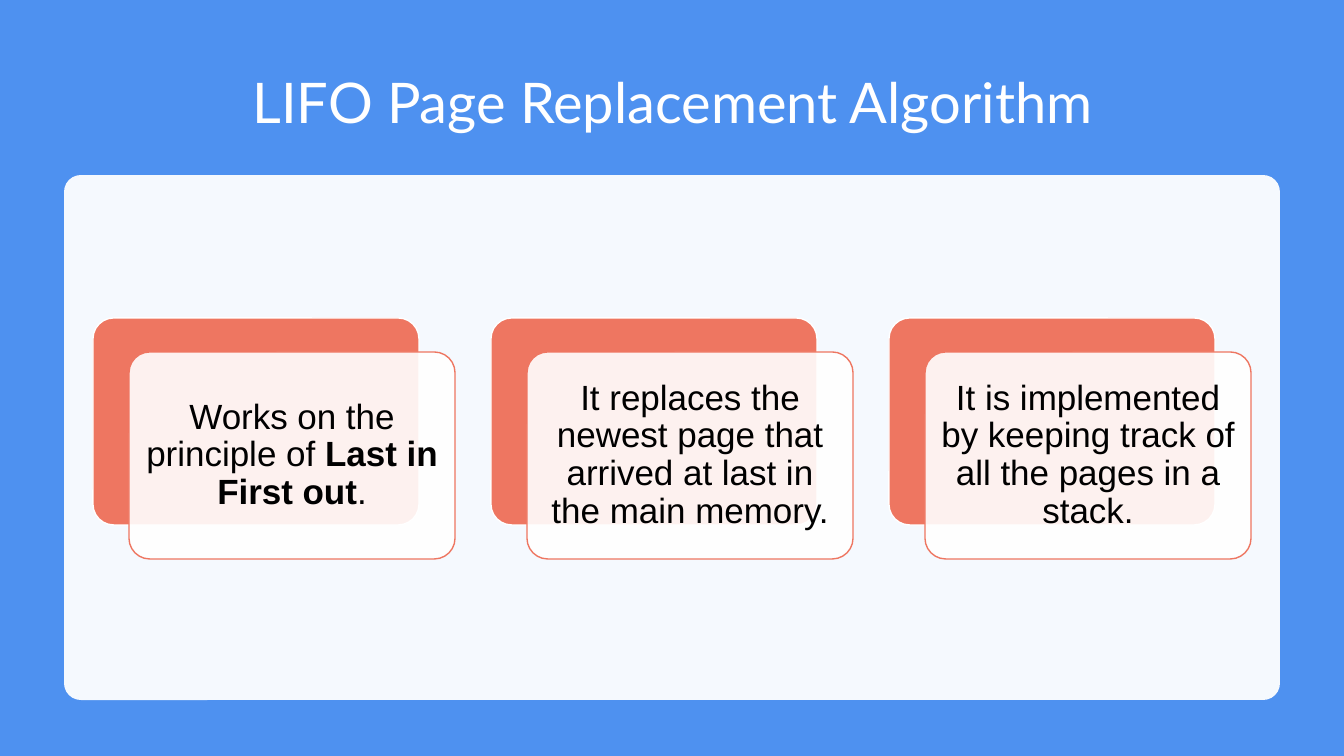
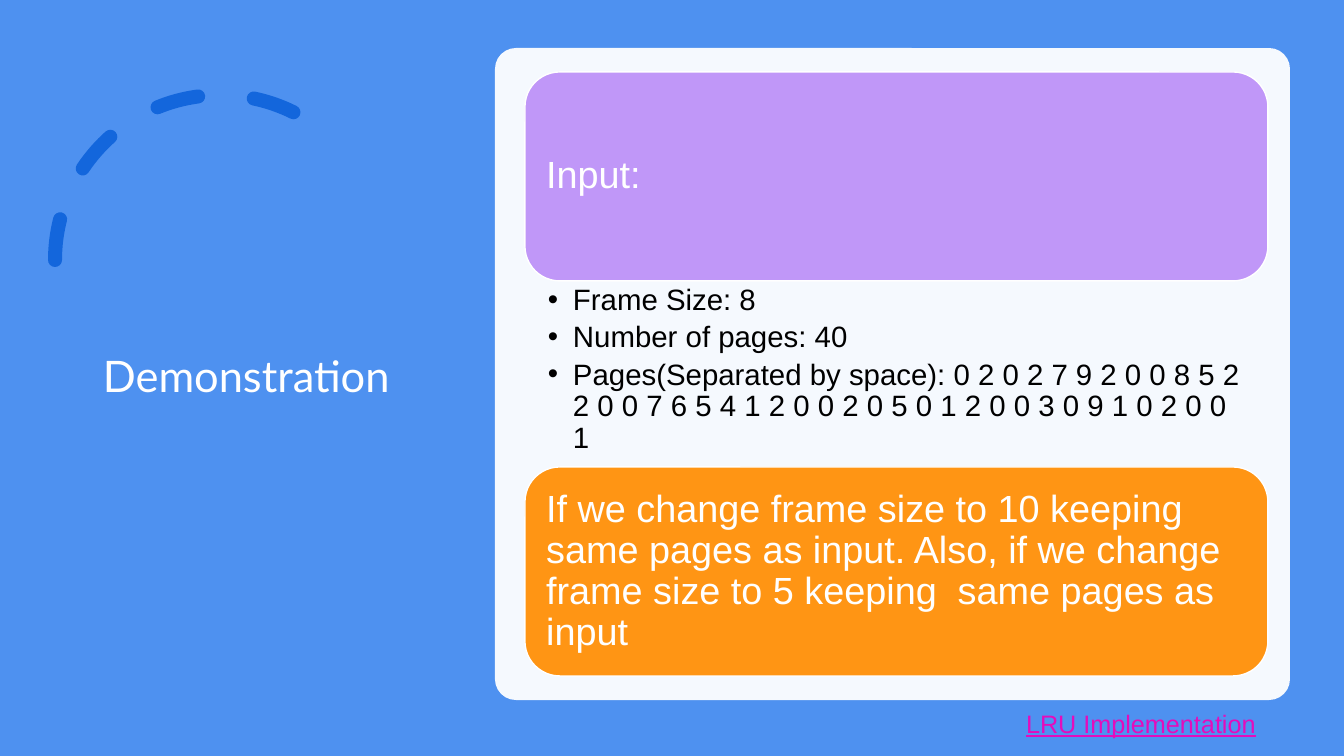
"""Build two slides on page replacement with a shared theme."""
from dataclasses import dataclass
from typing import Any, NamedTuple

from lxml import etree
from pptx import Presentation
from pptx.dml.color import RGBColor
from pptx.enum.dml import MSO_LINE
from pptx.enum.shapes import MSO_SHAPE
from pptx.enum.text import MSO_ANCHOR, MSO_AUTO_SIZE, PP_ALIGN
from pptx.oxml.ns import qn
from pptx.util import Emu, Pt

ROUND, ARC, DASH = MSO_SHAPE.ROUNDED_RECTANGLE, MSO_SHAPE.ARC, MSO_LINE.DASH
LEFT, CENTER = PP_ALIGN.LEFT, PP_ALIGN.CENTER
TOP, MIDDLE = MSO_ANCHOR.TOP, MSO_ANCHOR.MIDDLE
NO_FIT = MSO_AUTO_SIZE.NONE
TITLE_ONLY = 5
EMU_PER_PX = 914400 / 100.8


@dataclass(frozen=True)
class Theme:
    """Colours, fonts and type sizes of the deck."""
    blue: str = "4E91F0"
    deep_blue: str = "1366DC"
    white: str = "FFFFFF"
    black: str = "000000"
    coral: str = "EE7661"
    purple: str = "C097F8"
    orange: str = "FF9514"
    magenta: str = "E50CBC"
    title_font: str = "Lato"
    body_font: str = "Arial"
    title_size: int = 40
    side_title_size: int = 31
    block_size: int = 27
    card_size: int = 25
    bullet_size: int = 21
    link_size: int = 18


THEME = Theme()


class Box(NamedTuple):
    """Left, top, width and height in pixels."""
    left: int
    top: int
    width: int
    height: int

    def emu(self) -> list[Emu]:
        """Return the four lengths in EMU."""
        return [px(n) for n in self]


class Run(NamedTuple):
    """A piece of text with one weight."""
    text: str
    bold: bool = False


class Block(NamedTuple):
    """A coloured box with a statement."""
    top: int
    color: str
    text: str


@dataclass(frozen=True)
class TextStyle:
    """Look of the text in one frame."""
    size: int
    color: str
    font: str = THEME.body_font
    align: Any = LEFT
    anchor: Any = MIDDLE
    insets: tuple[int, int, int, int] = (10, 5, 10, 5)
    spacing: float = 0.9
    bullets: bool = False
    underline: bool = False


TITLE = TextStyle(THEME.title_size, THEME.white, THEME.title_font, CENTER)
SIDE_TITLE = TextStyle(THEME.side_title_size, THEME.white, THEME.title_font)
CARD = TextStyle(THEME.card_size, THEME.black, align=CENTER, insets=(10,) * 4)
BLOCK = TextStyle(THEME.block_size, THEME.white, insets=(11,) * 4)
BULLETS = TextStyle(THEME.bullet_size, THEME.black, anchor=TOP,
                    insets=(23, 4, 21, 4), bullets=True)
LINK = TextStyle(THEME.link_size, THEME.magenta, anchor=TOP, spacing=1.0,
                 underline=True)

CARDS = [
    [Run("Works on the principle of "), Run("Last in First out", True), Run(".")],
    [Run("It replaces the newest page that arrived at last in the main memory.")],
    [Run("It is implemented by keeping track of all the pages in a stack.")],
]
CARD_BOX = Box(93, 318, 326, 207)
CARD_STEP, CARD_SHIFT = 398, (36, 34)
PANEL_RADIUS, CARD_RADIUS, BLOCK_RADIUS = 0.032, 0.1, 0.16667

BLOCKS = [
    Block(72, THEME.purple, "Input:"),
    Block(467, THEME.orange,
          "If we change frame size to 10 keeping  same pages as input. Also, "
          "if we change frame size to 5 keeping  same pages as input"),
]
BLOCK_LEFT, BLOCK_WIDTH, BLOCK_HEIGHT = 525, 743, 209
INPUTS = [
    "Frame Size: 8",
    "Number of pages: 40",
    "Pages(Separated by space): 0 2 0 2 7 9 2 0 0 8 5 2 2 0 0 7 6 5 4 1 2 0 0 "
    "2 0 5 0 1 2 0 0 3 0 9 1 0 2 0 0 1",
]


def px(n: float) -> Emu:
    """Turn pixels into EMU."""
    return Emu(round(n * EMU_PER_PX))


def rgb(color: str) -> RGBColor:
    """Turn a hex string into a colour."""
    return RGBColor.from_string(color)


def apply(target: Any, values: dict[str, Any]) -> None:
    """Set attributes from a dict of format values."""
    for name, value in values.items():
        setattr(target, name, value)


def add_bullet(p: Any) -> None:
    """Give a paragraph a hanging bullet."""
    apply(p, {"level": 1, "space_after": Pt(4)})
    pPr = p._p.get_or_add_pPr()
    pPr.set("marL", str(px(25)))
    pPr.set("indent", str(px(-25)))
    etree.SubElement(pPr, qn("a:buFont")).set("typeface", THEME.body_font)
    etree.SubElement(pPr, qn("a:buChar")).set("char", "•")


def write(shape: Any, paragraphs: list[list[Run]], style: TextStyle) -> None:
    """Fill a shape with styled paragraphs."""
    tf = shape.text_frame
    sides = ("margin_left", "margin_top", "margin_right", "margin_bottom")
    apply(tf, {"word_wrap": True, "auto_size": NO_FIT,
               "vertical_anchor": style.anchor,
               **dict(zip(sides, map(px, style.insets)))})
    for i, runs in enumerate(paragraphs):
        p = tf.add_paragraph() if i else tf.paragraphs[0]
        apply(p, {"alignment": style.align, "line_spacing": style.spacing})
        if style.bullets:
            add_bullet(p)
        for run in runs:
            r = p.add_run()
            r.text = run.text
            apply(r.font, {"name": style.font, "size": Pt(style.size),
                           "bold": run.bold, "underline": style.underline})
            r.font.color.rgb = rgb(style.color)


def add_round(s: Any, box: Box, radius: float, fill: str,
              line: str | None = None, opacity: int = 100) -> Any:
    """Add a rounded box, with an outline if a line colour is given."""
    sp = s.shapes.add_shape(ROUND, *box.emu())
    sp.shadow.inherit = False
    sp.adjustments[0] = radius
    sp.fill.solid()
    sp.fill.fore_color.rgb = rgb(fill)
    if opacity < 100:
        color = sp._element.spPr.find(qn("a:solidFill"))[0]
        etree.SubElement(color, qn("a:alpha")).set("val", str(opacity * 1000))
    if line:
        sp.line.color.rgb = rgb(line)
        sp.line.width = Pt(1)
    else:
        sp.line.fill.background()
    return sp


def add_text(s: Any, box: Box, lines: list[str], style: TextStyle) -> None:
    """Add a text box with one paragraph per line."""
    write(s.shapes.add_textbox(*box.emu()), [[Run(t)] for t in lines], style)


def add_slide(prs: Any, title: str, title_box: Box, style: TextStyle,
              panel: Box) -> Any:
    """Add a blue slide with a title and a pale panel."""
    s = prs.slides.add_slide(prs.slide_layouts[TITLE_ONLY])
    s.background.fill.solid()
    s.background.fill.fore_color.rgb = rgb(THEME.blue)
    apply(s.shapes.title,
          dict(zip(("left", "top", "width", "height"), title_box.emu())))
    write(s.shapes.title, [[Run(title)]], style)
    add_round(s, panel, PANEL_RADIUS, THEME.white, opacity=95)
    return s


def add_card(s: Any, index: int, runs: list[Run]) -> None:
    """Add a coral card with a translucent text card over it."""
    dx, dy = CARD_SHIFT
    back = CARD_BOX._replace(left=CARD_BOX.left + index * CARD_STEP)
    front = back._replace(left=back.left + dx, top=back.top + dy)
    add_round(s, back, CARD_RADIUS, THEME.coral, THEME.white)
    card = add_round(s, front, CARD_RADIUS, THEME.white, THEME.coral, opacity=90)
    write(card, [runs], CARD)


def add_dashed_arc(s: Any, box: Box) -> None:
    """Add the thick dashed arc, mirrored, with round dash ends."""
    arc = s.shapes.add_shape(ARC, *box.emu())
    arc.shadow.inherit = False
    arc.adjustments[0], arc.adjustments[1] = 146.13, 0
    arc.fill.background()
    arc.line.color.rgb = rgb(THEME.deep_blue)
    apply(arc.line, {"width": Pt(10), "dash_style": DASH})
    spPr = arc._element.spPr
    spPr.find(qn("a:xfrm")).set("flipH", "1")
    spPr.find(qn("a:ln")).set("cap", "rnd")


def build_lifo(prs: Any) -> None:
    """Build the slide on the LIFO algorithm."""
    s = add_slide(prs, "LIFO Page Replacement Algorithm",
                  Box(93, 50, 1159, 111), TITLE, Box(64, 175, 1216, 525))
    for i, runs in enumerate(CARDS):
        add_card(s, i, runs)


def build_demonstration(prs: Any) -> None:
    """Build the slide with the sample input."""
    s = add_slide(prs, "Demonstration", Box(93, 71, 326, 614), SIDE_TITLE,
                  Box(495, 48, 795, 652))
    add_dashed_arc(s, Box(55, 95, 330, 330))
    for block in BLOCKS:
        box = Box(BLOCK_LEFT, block.top, BLOCK_WIDTH, BLOCK_HEIGHT)
        sp = add_round(s, box, BLOCK_RADIUS, block.color, THEME.white)
        write(sp, [[Run(block.text)]], BLOCK)
    add_text(s, Box(BLOCK_LEFT, 281, BLOCK_WIDTH, 184), INPUTS, BULLETS)
    add_text(s, Box(1016, 703, 301, 40), ["LRU Implementation"], LINK)


def main() -> None:
    """Build and save the deck."""
    prs = Presentation()
    apply(prs, {"slide_width": px(1344), "slide_height": px(756)})
    build_lifo(prs)
    build_demonstration(prs)
    prs.save("out.pptx")


main()
